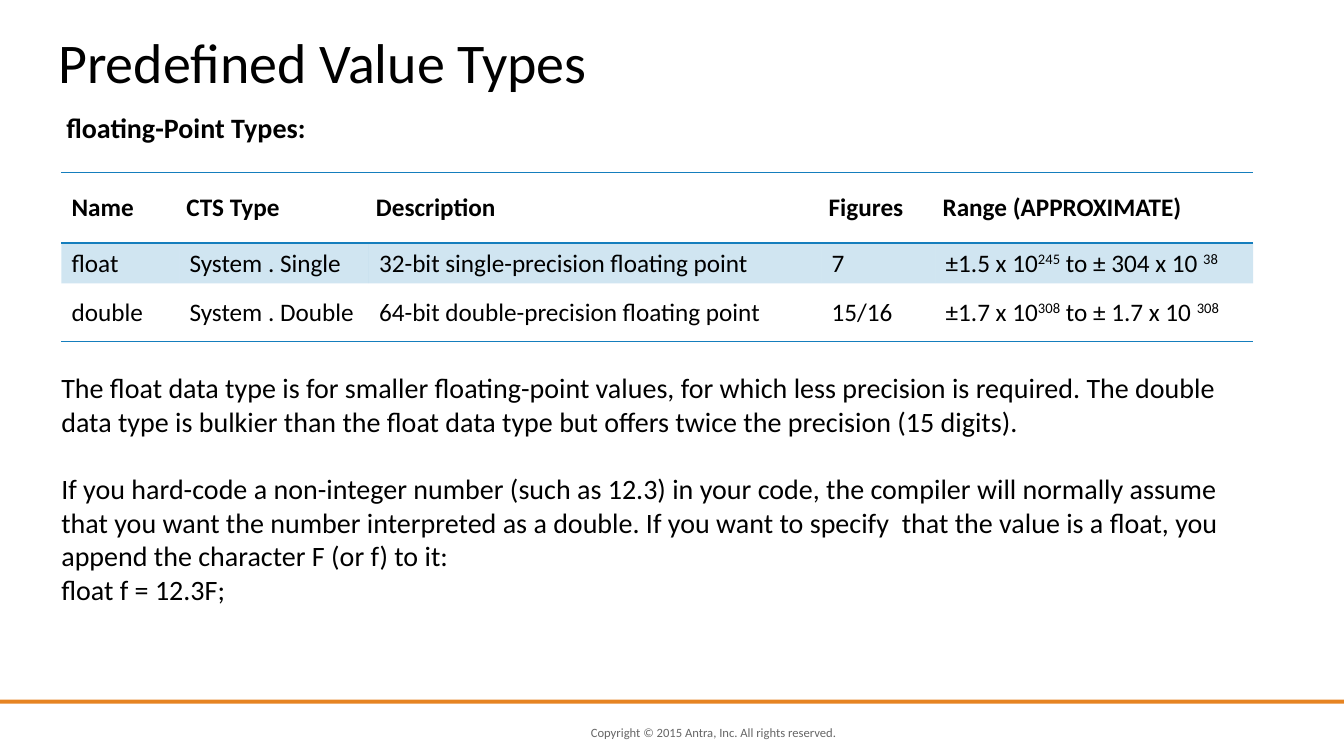
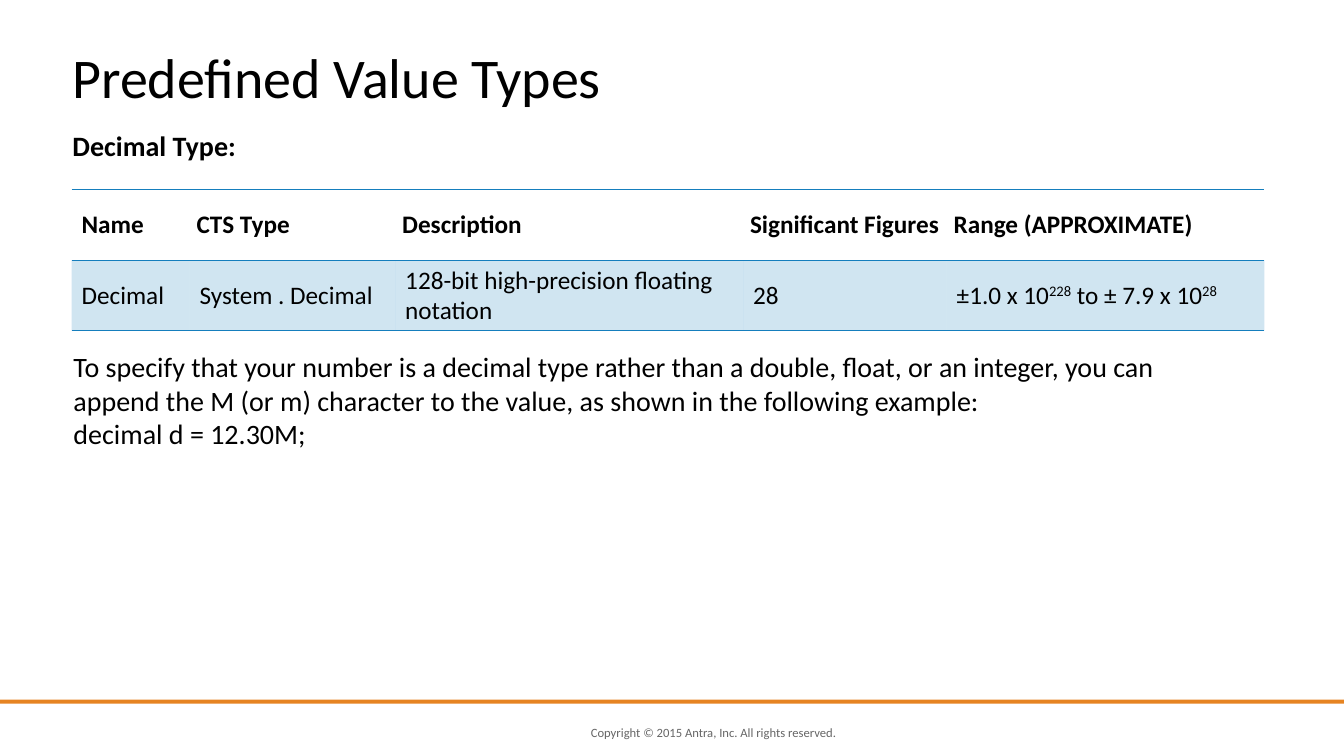
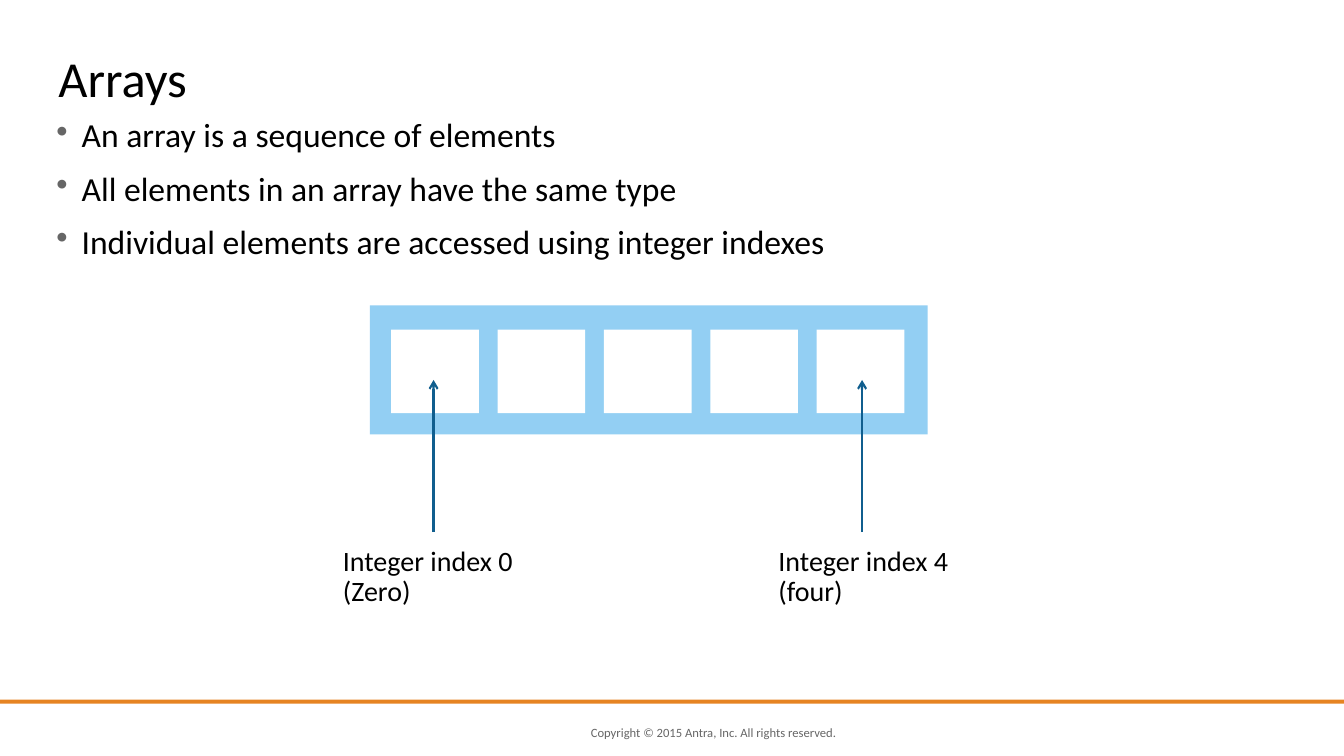
from dataclasses import dataclass

from lxml.etree import SubElement
from pptx import Presentation
from pptx.dml.color import RGBColor
from pptx.enum.shapes import MSO_CONNECTOR as Connector, MSO_SHAPE as Shape
from pptx.enum.text import MSO_ANCHOR as Anchor
from pptx.oxml.ns import qn
from pptx.util import Inches, Pt


@dataclass(frozen=True)
class Theme:
    font: str = "Calibri"
    # Colours
    ink: str = "000000"
    grey: str = "666666"
    band: str = "E68422"
    accent: str = "157EBD"
    arrow: str = "105E8E"
    array: str = "93CFF3"
    white: str = "FFFFFF"
    # Type sizes
    title: int = 40
    short_title: int = 36
    bullet: int = 24
    body: int = 20
    table: int = 18
    footer: int = 9


THEME = Theme()
FOOTER = "Copyright © 2015 Antra, Inc. All rights reserved."


def set_values(target, values):
    for name, value in values.items():
        setattr(target, name, value)


class Deck:
    """Holds the theme, the presentation and the current slide."""

    def __init__(self, theme):
        self.theme = theme
        self.presentation = Presentation()
        set_values(self.presentation, {"slide_width": Inches(13.33),
                                       "slide_height": Inches(7.5)})
        self.slide = None

    def new_slide(self):
        layout = self.presentation.slide_layouts[6]
        self.slide = self.presentation.slides.add_slide(layout)
        self.text((5.86, 7.17, 3.05, 0.2), [FOOTER], self.theme.footer,
                  color=self.theme.grey, inset=False, wrap=False,
                  anchor=Anchor.MIDDLE)
        self.rectangle((0, 6.94, 13.33, 0.04), self.theme.band)

    def add_runs(self, paragraph, text, size, color=None, bold=False):
        """Add runs; text between carets is superscript."""
        for index, part in enumerate(text.split("^")):
            if not part:
                continue
            run = paragraph.add_run()
            run.text = part
            set_values(run.font, {"name": self.theme.font, "size": Pt(size),
                                  "bold": bold})
            run.font.color.rgb = RGBColor.from_string(color or self.theme.ink)
            if index % 2:
                run._r.get_or_add_rPr().set("baseline", "30000")

    def text(self, box, lines, size, color=None, bold=False, inset=True,
             wrap=True, anchor=Anchor.TOP, spacing=None, gaps=None,
             bullets=False):
        """Add a text box; gaps maps a paragraph index to its space before."""
        shape = self.slide.shapes.add_textbox(*map(Inches, box))
        frame = shape.text_frame
        set_values(frame, {"word_wrap": wrap, "vertical_anchor": anchor})
        if not inset:
            sides = ("left", "top", "right", "bottom")
            set_values(frame, {f"margin_{side}": 0 for side in sides})
        for index, line in enumerate(lines):
            paragraph = frame.paragraphs[0] if index == 0 else frame.add_paragraph()
            if spacing:
                paragraph.line_spacing = spacing
            if gaps and index in gaps:
                paragraph.space_before = Pt(gaps[index])
            if bullets:
                self.bullet(paragraph)
            self.add_runs(paragraph, line, size, color, bold)

    def bullet(self, paragraph):
        properties = paragraph._p.get_or_add_pPr()
        indent = Inches(0.25)
        properties.set("marL", str(indent))
        properties.set("indent", str(-indent))
        color = SubElement(properties, qn("a:buClr"))
        SubElement(color, qn("a:srgbClr"), val=self.theme.grey)
        SubElement(properties, qn("a:buChar"), char="•")

    def heading(self, left, top, title):
        self.text((left, top, 5.64, 0.77), [title], self.theme.title, wrap=False)

    def subheading(self, left, top, title):
        self.text((left, top, 2.6, 0.44), [title], self.theme.body,
                  bold=True, wrap=False)

    def rectangle(self, box, color):
        shape = self.slide.shapes.add_shape(Shape.RECTANGLE, *map(Inches, box))
        shape.shadow.inherit = False
        shape.fill.solid()
        shape.fill.fore_color.rgb = RGBColor.from_string(color)
        shape.line.fill.background()

    def arrow(self, x, start_y, end_y):
        points = map(Inches, (x, start_y, x, end_y))
        connector = self.slide.shapes.add_connector(Connector.STRAIGHT, *points)
        connector.line.width = Pt(1.5)
        connector.line.color.rgb = RGBColor.from_string(self.theme.arrow)
        properties = connector._element.spPr
        SubElement(properties.find(qn("a:ln")), qn("a:tailEnd"), type="arrow")
        SubElement(properties, qn("a:effectLst"))

    def border(self, cell, side, ruled):
        line = SubElement(cell._tc.get_or_add_tcPr(), qn(f"a:ln{side}"),
                          w=str(Pt(1)))
        if ruled:
            fill = SubElement(line, qn("a:solidFill"))
            SubElement(fill, qn("a:srgbClr"), val=self.theme.accent)
        else:
            SubElement(line, qn("a:noFill"))

    def table(self, left, top, widths, heights, rows):
        """Add a table ruled above and below the header and at the foot."""
        size = (sum(widths), sum(heights))
        table = self.slide.shapes.add_table(
            len(rows), len(widths), *map(Inches, (left, top, *size))).table
        set_values(table, {"first_row": False, "horz_banding": False})
        for column, width in zip(table.columns, widths):
            column.width = Inches(width)
        for row, height in zip(table.rows, heights):
            row.height = Inches(height)
        for r, texts in enumerate(rows):
            for c, text in enumerate(texts):
                cell = table.cell(r, c)
                cell.vertical_anchor = Anchor.MIDDLE
                if r == 0 and c > 0:
                    set_values(cell, {
                        "margin_left": Inches(0.07), "margin_right": Inches(0.07),
                        "margin_top": Inches(0.2), "margin_bottom": Inches(0.2)})
                rules = {"L": False, "R": False, "T": r in (0, 1),
                         "B": r in (0, len(rows) - 1)}
                for side, ruled in rules.items():
                    self.border(cell, side, ruled)
                self.shade(cell, r % 2 == 1)
                self.add_runs(cell.text_frame.paragraphs[0], text,
                              self.theme.table, bold=r == 0)

    def shade(self, cell, shaded):
        if not shaded:
            cell.fill.background()
            return
        cell.fill.solid()
        cell.fill.fore_color.rgb = RGBColor.from_string(self.theme.accent)
        color = cell._tc.tcPr.find(qn("a:solidFill"))[0]
        SubElement(color, qn("a:alpha"), val="20000")


def floating_point_slide(deck):
    deck.new_slide()
    deck.heading(0.48, 0.22, "Predefined Value Types")
    deck.subheading(0.56, 1.05, "floating-Point Types:")
    deck.text((0.51, 3.63, 12.12, 2.79), [
        "The float data type is for smaller floating-point values, for which less "
        "precision is required. The double data type is bulkier than the float data "
        "type but offers twice the precision (15 digits).",
        "If you hard-code a non-integer number (such as 12.3) in your code, the "
        "compiler will normally assume that you want the number interpreted as a "
        "double. If you want to specify  that the value is a float, you append the "
        "character F (or f) to it:",
        "float f = 12.3F;",
    ], deck.theme.body, gaps={1: 24})
    deck.table(0.61, 1.71, [1.17, 1.88, 4.49, 1.13, 3.15], [0.7, 0.4, 0.58], [
        ["Name", "CTS Type", "Description", "Figures", "Range (APPROXIMATE)"],
        ["float", "System . Single", "32-bit single-precision floating point",
         "7", "±1.5 x 10^245^ to ± 304 x 10 ^38^"],
        ["double", "System . Double", "64-bit double-precision floating point",
         "15/16", "±1.7 x 10^308^ to ± 1.7 x 10 ^308^"],
    ])


def decimal_slide(deck):
    deck.new_slide()
    deck.heading(0.62, 0.37, "Predefined Value Types")
    deck.subheading(0.62, 1.23, "Decimal Type:")
    deck.text((0.63, 3.42, 11.77, 1.45), [
        "To specify that your number is a decimal type rather than a double, float, "
        "or an integer, you can append the M (or m) character to the value, as shown "
        "in the following example:",
        "decimal d = 12.30M;",
    ], deck.theme.body)
    deck.table(0.71, 1.88, [1.17, 2.04, 3.45, 2.02, 3.15], [0.7, 0.7], [
        ["Name", "CTS Type", "Description", "Significant Figures",
         "Range (APPROXIMATE)"],
        ["Decimal", "System . Decimal", "128-bit high-precision floating notation",
         "28", "±1.0 x 10^228^ to ± 7.9 x 10^28^"],
    ])


def arrays_slide(deck):
    deck.new_slide()
    deck.text((0.58, 0.61, 12.17, 0.45), ["Arrays"], deck.theme.short_title,
              inset=False, anchor=Anchor.BOTTOM, spacing=0.8)
    deck.text((0.56, 1.18, 12.51, 1.82), [
        "An array is a sequence of elements",
        "All elements in an array have the same type",
        "Individual elements are accessed using integer indexes",
    ], deck.theme.bullet, inset=False, spacing=0.9, gaps={1: 12, 2: 12},
        bullets=True)

    # Array with five evenly spaced elements
    deck.rectangle((3.67, 3.03, 5.53, 1.28), deck.theme.array)
    count, first, last = 5, 3.88, 8.1
    pitch = (last - first) / (count - 1)
    for index in range(count):
        deck.rectangle((first + index * pitch, 3.27, 0.87, 0.83), deck.theme.white)

    # Arrows and labels for the first and last element
    for arrow_x, label_left, lines in (
            (4.3, 3.4, ["Integer index 0", "(Zero)"]),
            (8.55, 7.72, ["Integer index 4", "(four)"])):
        deck.arrow(arrow_x, 5.28, 3.77)
        deck.text((label_left, 5.43, 1.85, 0.7), lines, deck.theme.body,
                  inset=False, spacing=0.9)


def main():
    deck = Deck(THEME)
    for build in (floating_point_slide, decimal_slide, arrays_slide):
        build(deck)
    deck.presentation.save("out.pptx")


if __name__ == "__main__":
    main()
